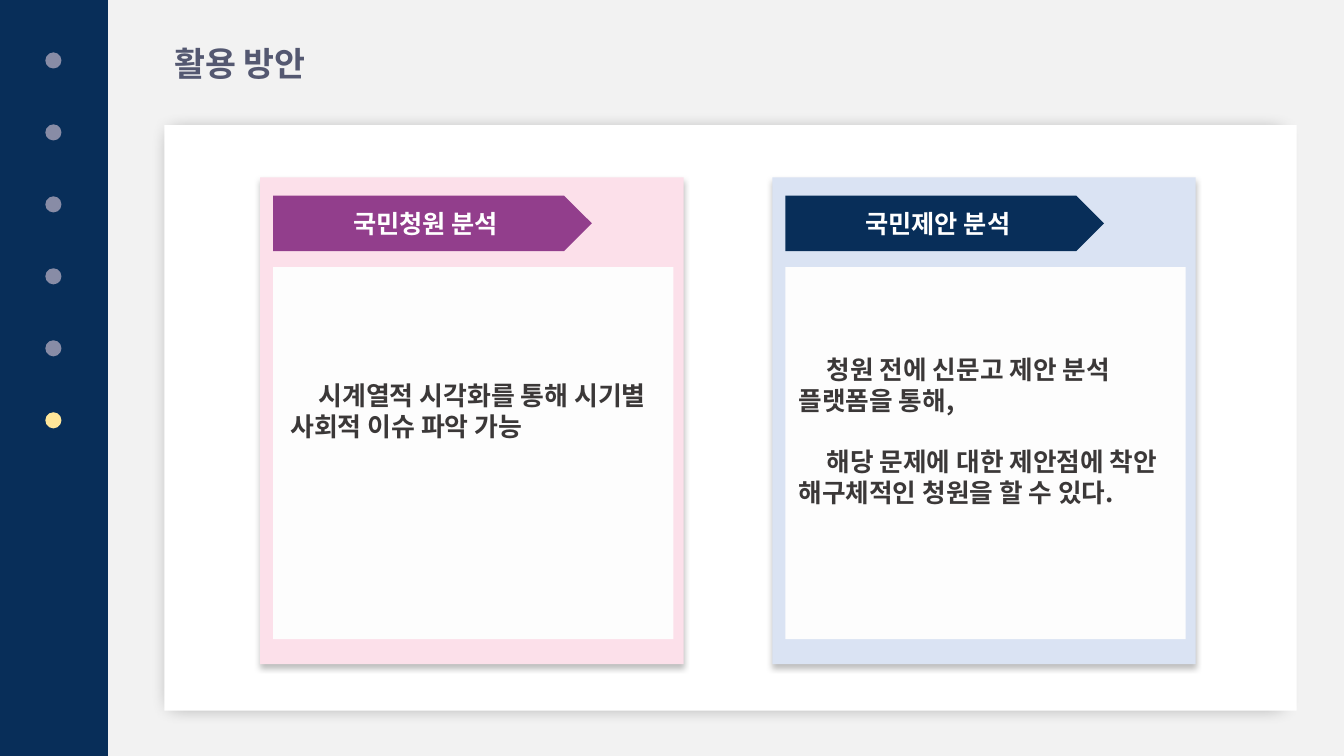
from lxml import etree
from pptx import Presentation
from pptx.dml.color import RGBColor
from pptx.enum.shapes import MSO_SHAPE
from pptx.enum.text import MSO_ANCHOR, MSO_AUTO_SIZE, PP_ALIGN
from pptx.oxml.ns import qn
from pptx.util import Inches, Pt

RECT = MSO_SHAPE.RECTANGLE
ROUNDED = MSO_SHAPE.ROUNDED_RECTANGLE
OVAL = MSO_SHAPE.OVAL
PENTAGON = MSO_SHAPE.PENTAGON
MIDDLE = MSO_ANCHOR.MIDDLE
CENTER = PP_ALIGN.CENTER
GROW = MSO_AUTO_SIZE.SHAPE_TO_FIT_TEXT

FONT = "Noto Sans CJK KR"
NAVY = RGBColor(0x08, 0x2E, 0x59)
PURPLE = RGBColor(0x92, 0x3E, 0x8C)
PINK = RGBColor(0xFC, 0xE0, 0xEA)
PALE_BLUE = RGBColor(0xDA, 0xE3, 0xF3)
DOT_GRAY = RGBColor(0x88, 0x8C, 0xA6)
DOT_YELLOW = RGBColor(0xFF, 0xE6, 0x99)
TITLE_GRAY = RGBColor(0x54, 0x58, 0x71)
TEXT_GRAY = RGBColor(0x3B, 0x38, 0x38)
BACKGROUND = RGBColor(0xF2, 0xF2, 0xF2)
OFF_WHITE = RGBColor(0xFD, 0xFD, 0xFD)
WHITE = RGBColor(0xFF, 0xFF, 0xFF)


class SlideBuilder:
    def __init__(self, slide):
        self.slide = slide
        slide.background.fill.solid()
        slide.background.fill.fore_color.rgb = BACKGROUND

    def shape(self, parent, kind, box, color):
        item = parent.add_shape(kind, *map(Inches, box))
        item.shadow.inherit = False
        item.fill.solid()
        item.fill.fore_color.rgb = color
        item.line.fill.background()
        return item

    def shadow(self, item, opacity, blur, distance, angle, scale=100):
        effects = item._element.spPr.find(qn("a:effectLst"))
        outer = etree.SubElement(
            effects, qn("a:outerShdw"), blurRad=str(Pt(blur)),
            dist=str(Pt(distance)), dir=str(angle * 60000),
            sx=str(scale * 1000), sy=str(scale * 1000),
            algn="tl", rotWithShape="0")
        black = etree.SubElement(outer, qn("a:srgbClr"), val="000000")
        etree.SubElement(black, qn("a:alpha"), val=str(opacity * 1000))

    def style(self, paragraph, size, color):
        font = paragraph.font
        font.size = Pt(size)
        font.bold = True
        font.color.rgb = color
        font.name = FONT
        etree.SubElement(font._rPr, qn("a:ea"), typeface=FONT)

    def text(self, parent, box, lines, size, color, indent=0, gap=0):
        frame = parent.add_textbox(*map(Inches, box)).text_frame
        frame.word_wrap = True
        frame.auto_size = GROW
        frame.text = "\n".join(lines)
        for number, paragraph in enumerate(frame.paragraphs):
            if indent:
                properties = paragraph._p.get_or_add_pPr()
                properties.set("marL", "0")
                properties.set("indent", str(Inches(indent)))
            if number:
                paragraph.space_before = Pt(gap)
            self.style(paragraph, size, color)
        return frame

    def sidebar(self, count):
        self.shape(self.slide.shapes, RECT, (0, 0, 1.07, 7.5), NAVY)
        first, last = 0.52, 4.09
        step = (last - first) / (count - 1)
        for index in range(count):
            color = DOT_YELLOW if index == count - 1 else DOT_GRAY
            box = (0.45, first + index * step, 0.16, 0.16)
            self.shape(self.slide.shapes, OVAL, box, color)

    def panel(self, box):
        panel = self.shape(self.slide.shapes, ROUNDED, box, WHITE)
        panel.adjustments[0] = 0
        self.shadow(panel, 40, 14, 7, 45, scale=98)

    def card(self, left, frame_color, heading_color, heading, body_box, lines, size):
        parts = self.slide.shapes.add_group_shape().shapes
        frame = self.shape(parts, RECT, (left, 1.76, 4.2, 4.83), frame_color)
        self.shadow(frame, 25, 4, 3, 90)
        banner = self.shape(parts, PENTAGON, (left + 0.13, 1.94, 3.16, 0.55), heading_color)
        banner.text_frame.text = heading
        banner.text_frame.vertical_anchor = MIDDLE
        label = banner.text_frame.paragraphs[0]
        label.alignment = CENTER
        self.style(label, 18, WHITE)
        self.shape(parts, RECT, (left + 0.13, 2.65, 3.97, 3.69), OFF_WHITE)
        self.text(parts, body_box, lines, size, TEXT_GRAY, indent=0.28, gap=22)


def main():
    presentation = Presentation()
    presentation.slide_width = Inches(13.33)
    presentation.slide_height = Inches(7.5)
    slide = presentation.slides.add_slide(presentation.slide_layouts[6])
    builder = SlideBuilder(slide)

    title = builder.text(slide.shapes, (1.63, 0.18, 6.03, 0.63), ["활용 방안"], 24, TITLE_GRAY)
    title.paragraphs[0].line_spacing = 1.5
    builder.sidebar(6)
    builder.panel((1.63, 1.24, 11.23, 5.81))
    builder.card(2.58, PINK, PURPLE, "국민청원 분석", (2.78, 3.72, 3.82, 0.72),
                 ["시계열적 시각화를 통해 시기별 사회적 이슈 파악 가능"], 18.5)
    builder.card(7.66, PALE_BLUE, NAVY, "국민제안 분석", (7.82, 3.46, 3.82, 2.25),
                 ["청원 전에 신문고 제안 분석 플랫폼을 통해,",
                  "해당 문제에 대한 제안점에 착안 해구체적인 청원을 할 수 있다."], 18.3)
    presentation.save("out.pptx")


if __name__ == "__main__":
    main()
